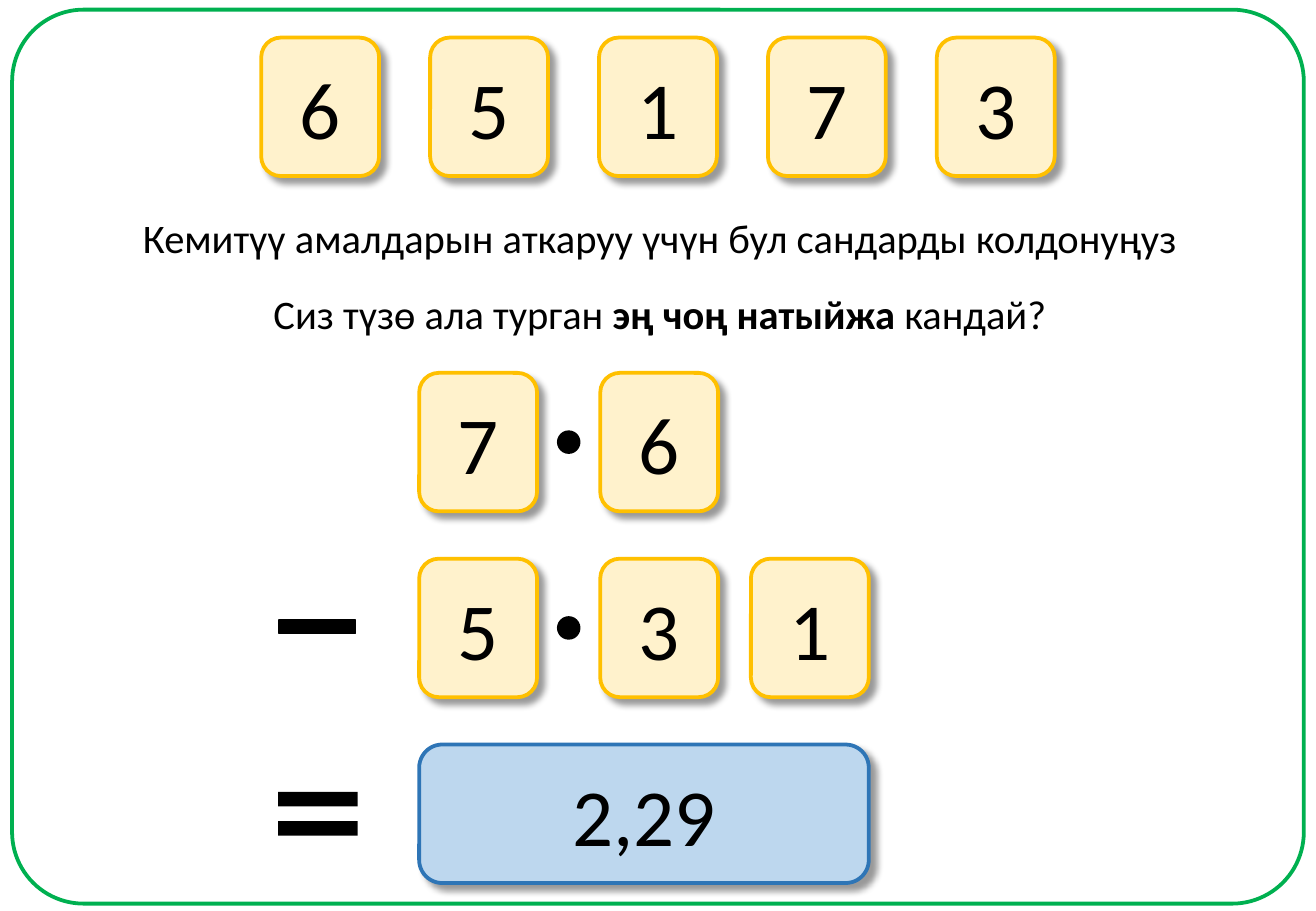
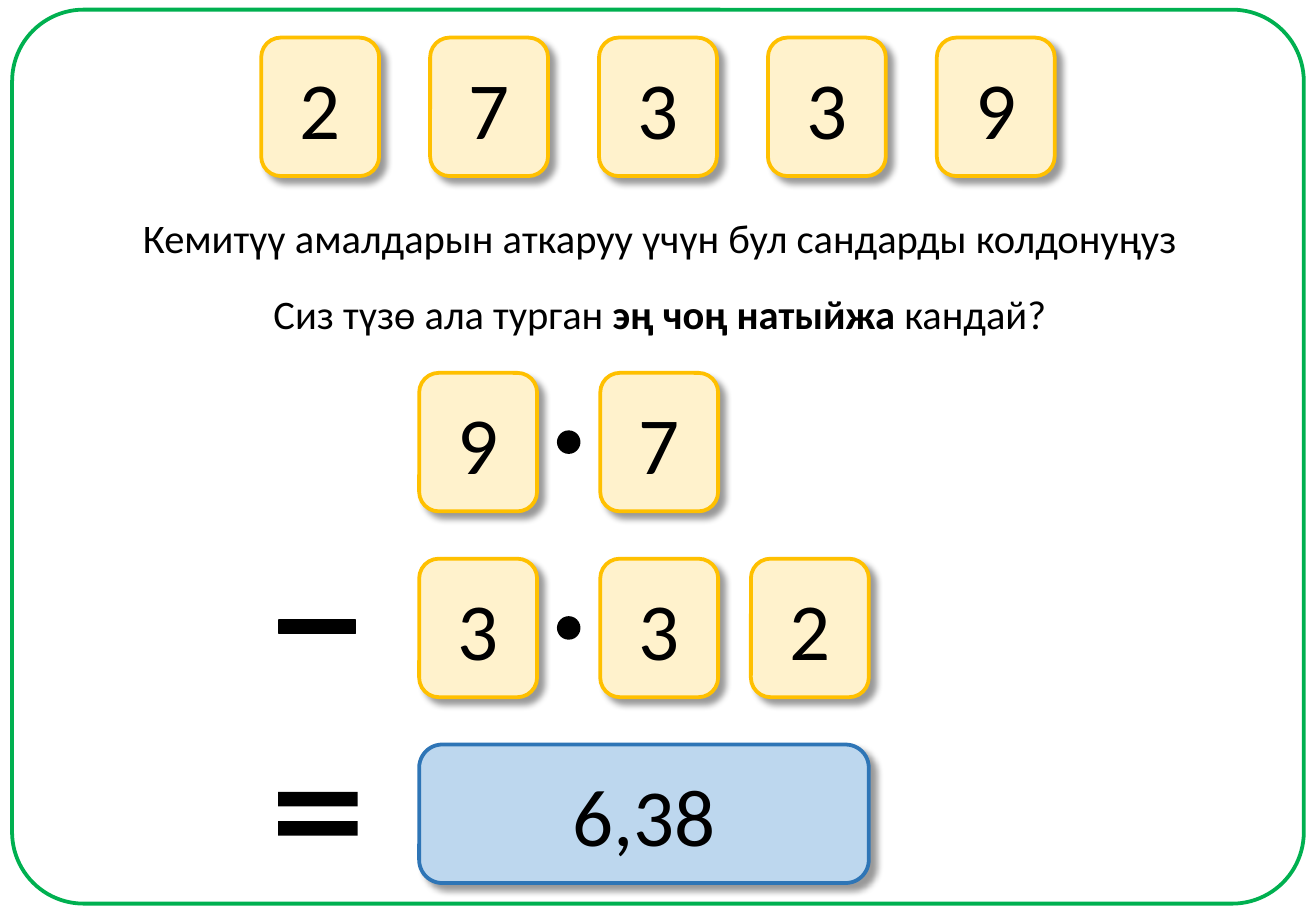
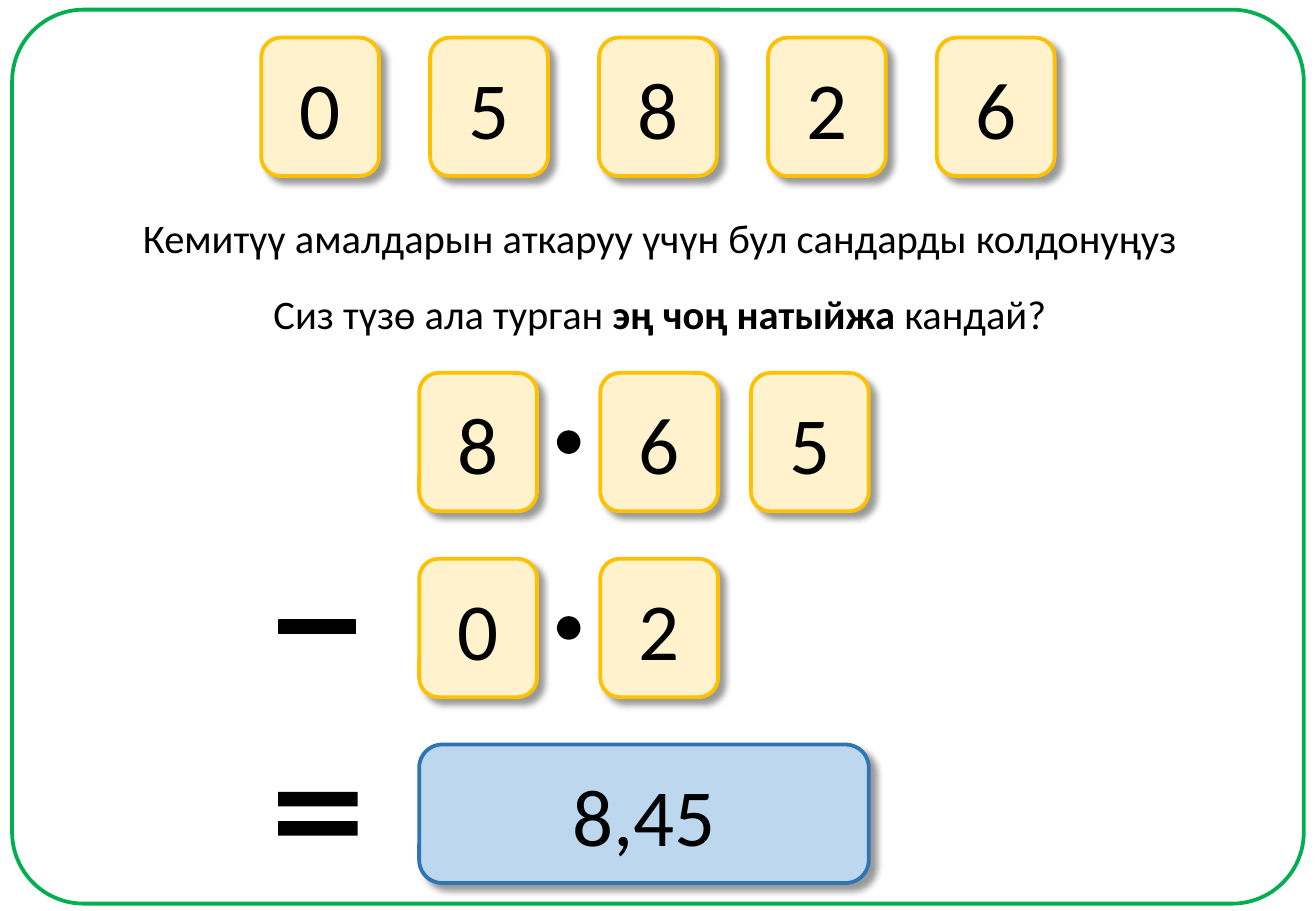
from lxml import etree
from pptx import Presentation
from pptx import util as u
from pptx.dml.color import RGBColor
from pptx.enum import shapes, text
from pptx.oxml.ns import qn

WIDTH, HEIGHT = 10.83, 7.5
FONT = "Calibri"
BLACK, GREEN = "000000", "00B050"
CARD_FILL, CARD_LINE = "FFF2CC", "FFC000"
RESULT_FILL, RESULT_LINE = "BDD7EE", "2E75B6"
CARD_WIDTH, CARD_HEIGHT = 0.97, 1.14
RACK_LEFT, RACK_TOP, RACK_STEP = 2.15, 0.31, 1.39
DIGIT_COLUMNS = (3.45, 4.94, 6.18)
ROW_TOP, ROW_STEP = 3.07, 1.53
DOT_LEFT, DOT_DROP, DOT_SIZE = 4.59, 0.48, 0.18
SHAPE = shapes.MSO_SHAPE

TITLE = "Кемитүү амалдарын аткаруу үчүн бул сандарды колдонуңуз"
QUESTION = (("Сиз түзө ала турган ", False), ("эң чоң натыйжа ", True), ("кандай?", False))
PUZZLES = (
    ("65173", ("76", "531"), "2,29"),
    ("27339", ("97", "332"), "6,38"),
    ("05826", ("865", "02"), "8,45"),
)


def colour(value):
    """Turn a hex string into a colour."""
    return RGBColor.from_string(value)


def inches(*lengths):
    """Turn numbers into lengths in inches."""
    return [u.Inches(length) for length in lengths]


def row_top(row):
    """Give the top of a row of the subtraction."""
    return ROW_TOP + row * ROW_STEP


def style(paragraph, size):
    """Centre a paragraph and set its font."""
    paragraph.alignment = text.PP_ALIGN.CENTER
    paragraph.font.name = FONT
    paragraph.font.size = u.Pt(size)
    paragraph.font.color.rgb = colour(BLACK)


def add_outline(page, kind, at, fill=None, line=None, weight=2.25, adjust=()):
    """Add a flat preset shape."""
    shape = page.shapes.add_shape(kind, *inches(*at))
    shape.shadow.inherit = False
    if fill:
        shape.fill.solid()
        shape.fill.fore_color.rgb = colour(fill)
    else:
        shape.fill.background()
    if line:
        shape.line.color.rgb = colour(line)
        shape.line.width = u.Pt(weight)
    else:
        shape.line.fill.background()
    for index, value in enumerate(adjust):
        shape.adjustments[index] = value
    return shape


def cast_shadow(shape):
    """Give a shape a soft shadow to the lower right."""
    effects = shape._element.spPr.find(qn("a:effectLst"))
    shadow = etree.SubElement(effects, qn("a:outerShdw"), blurRad=str(u.Pt(4)),
                              dist=str(u.Pt(5)), dir=str(45 * 60000), algn="tl")
    tint = etree.SubElement(shadow, qn("a:srgbClr"), val=BLACK)
    etree.SubElement(tint, qn("a:alpha"), val="40000")


def add_card(page, label, left, top, width=CARD_WIDTH, fill=CARD_FILL, line=CARD_LINE):
    """Add a rounded card with a number on it."""
    card = add_outline(page, SHAPE.ROUNDED_RECTANGLE, (left, top, width, CARD_HEIGHT), fill, line)
    cast_shadow(card)
    paragraph = card.text_frame.paragraphs[0]
    paragraph.text = label
    style(paragraph, 48)


def add_title(page):
    """Fill and place the title."""
    title = page.shapes.title
    title.left, title.top, title.width, title.height = inches(1.03, 1.7, 8.8, 0.5)
    title.text_frame.word_wrap = False
    title.text_frame.text = TITLE
    style(title.text_frame.paragraphs[0], 24)


def add_question(page):
    """Add the question with its bold words."""
    box = page.shapes.add_textbox(*inches(2.12, 2.33, 6.62, 0.5))
    box.text_frame.word_wrap = False
    paragraph = box.text_frame.paragraphs[0]
    style(paragraph, 24)
    for words, bold in QUESTION:
        span = paragraph.add_run()
        span.text = words
        span.font.bold = bold


def add_operand(page, digits, row):
    """Add one decimal number, a card for each digit."""
    top = row_top(row)
    for left, digit in zip(DIGIT_COLUMNS, digits):
        add_card(page, digit, left, top)
    add_outline(page, SHAPE.OVAL, (DOT_LEFT, top + DOT_DROP, DOT_SIZE, DOT_SIZE), BLACK, BLACK, 1)


def add_puzzle(deck, rack, operands, result):
    """Add a slide with one puzzle and its answer."""
    page = deck.slides.add_slide(deck.slide_layouts[5])
    add_outline(page, SHAPE.ROUNDED_RECTANGLE, (0.1, 0.08, 10.63, 7.36), line=GREEN, adjust=[0.08])
    add_title(page)
    add_question(page)
    for column, digit in enumerate(rack):
        add_card(page, digit, RACK_LEFT + column * RACK_STEP, RACK_TOP)
    for row, digits in enumerate(operands):
        add_operand(page, digits, row)
    result_width = DIGIT_COLUMNS[-1] + CARD_WIDTH - DIGIT_COLUMNS[0]
    add_card(page, result, DIGIT_COLUMNS[0], row_top(2), result_width, RESULT_FILL, RESULT_LINE)
    add_outline(page, SHAPE.MATH_MINUS, (2.18, 4.73, 0.86, 0.86), BLACK, BLACK, 1, [0.13])
    add_outline(page, SHAPE.MATH_EQUAL, (2.17, 6.2, 0.89, 1), BLACK, adjust=[0.12, 0.12])


def main():
    """Build and save the deck."""
    deck = Presentation()
    deck.slide_width, deck.slide_height = inches(WIDTH, HEIGHT)
    for puzzle in PUZZLES:
        add_puzzle(deck, *puzzle)
    deck.save("out.pptx")


if __name__ == "__main__":
    main()
